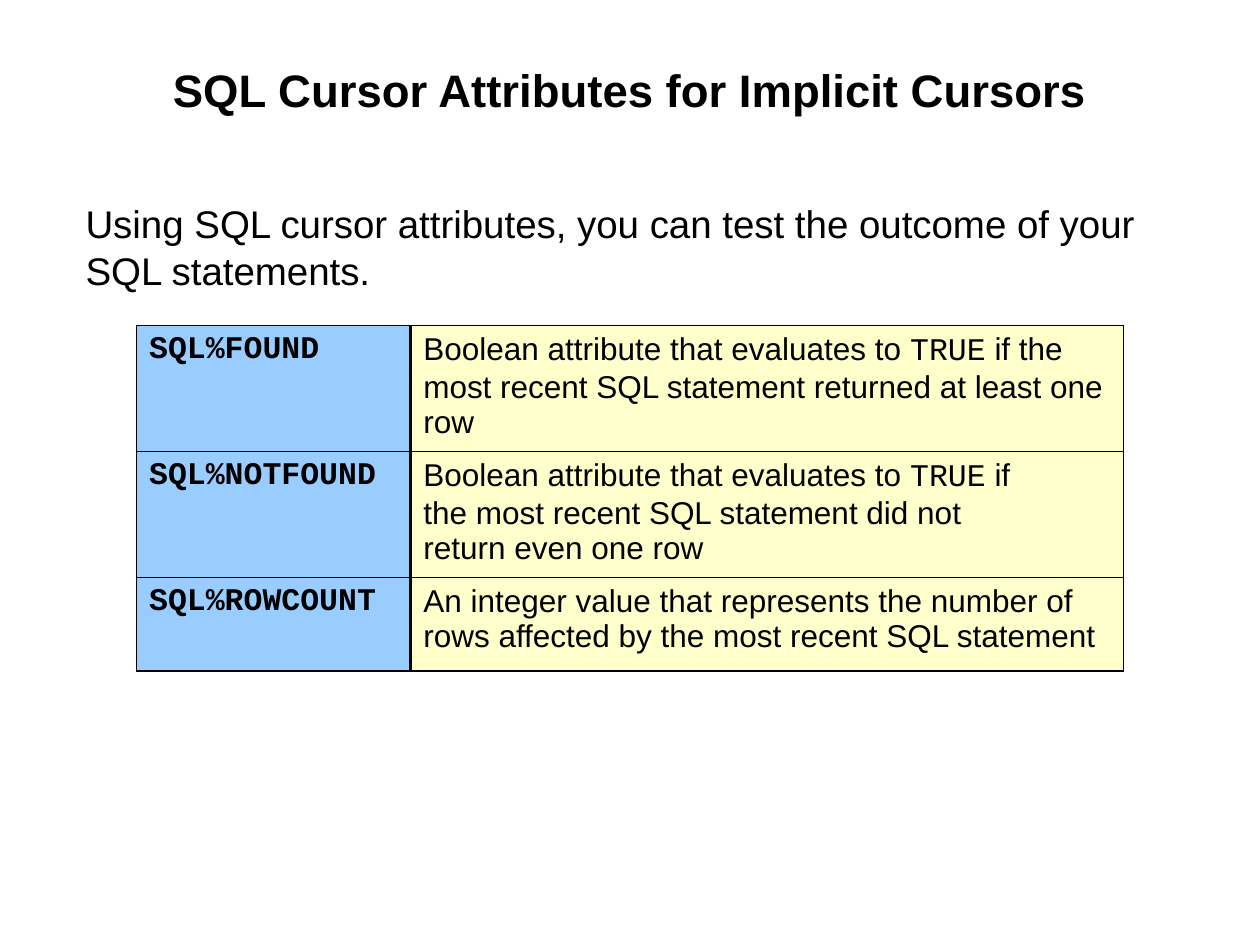
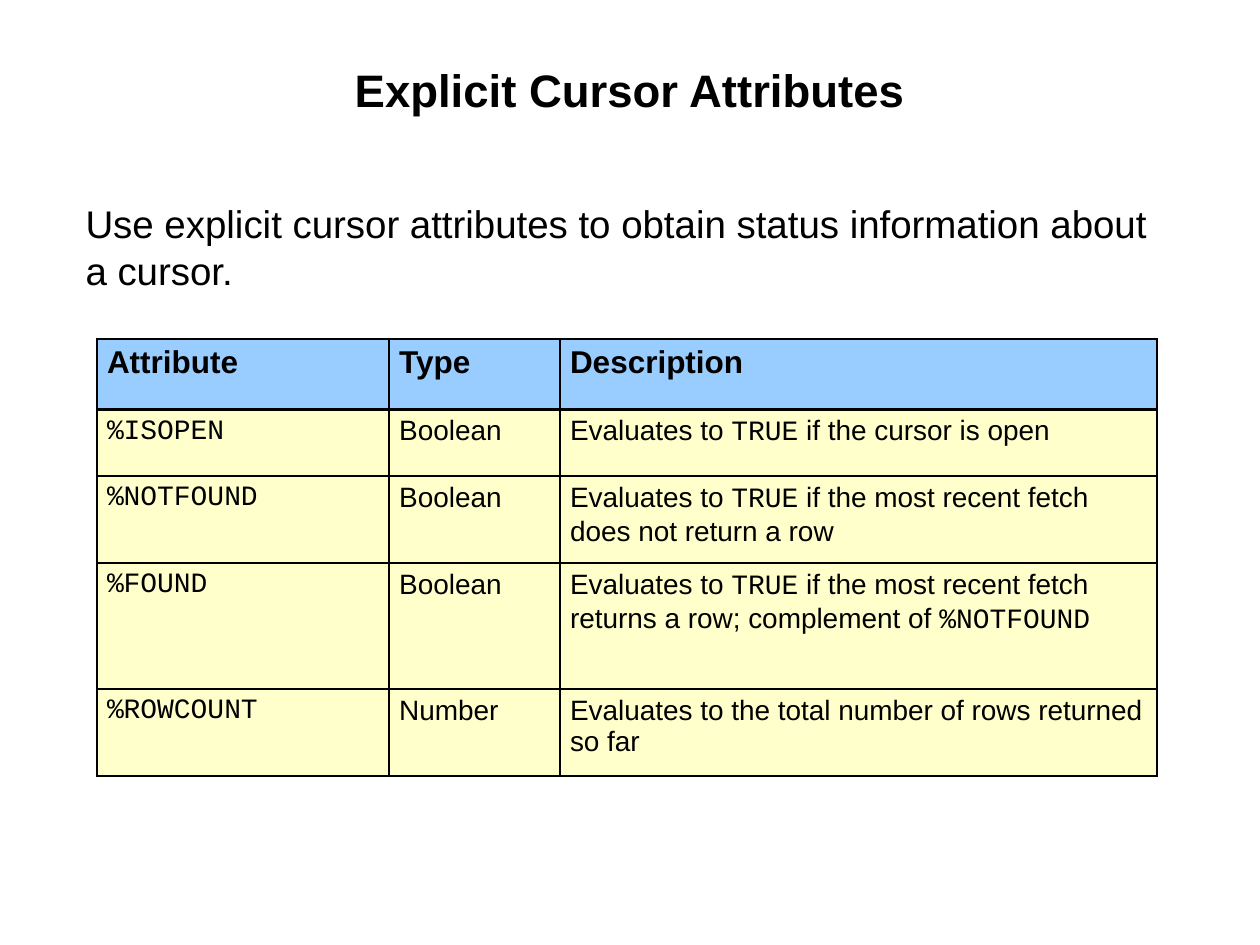
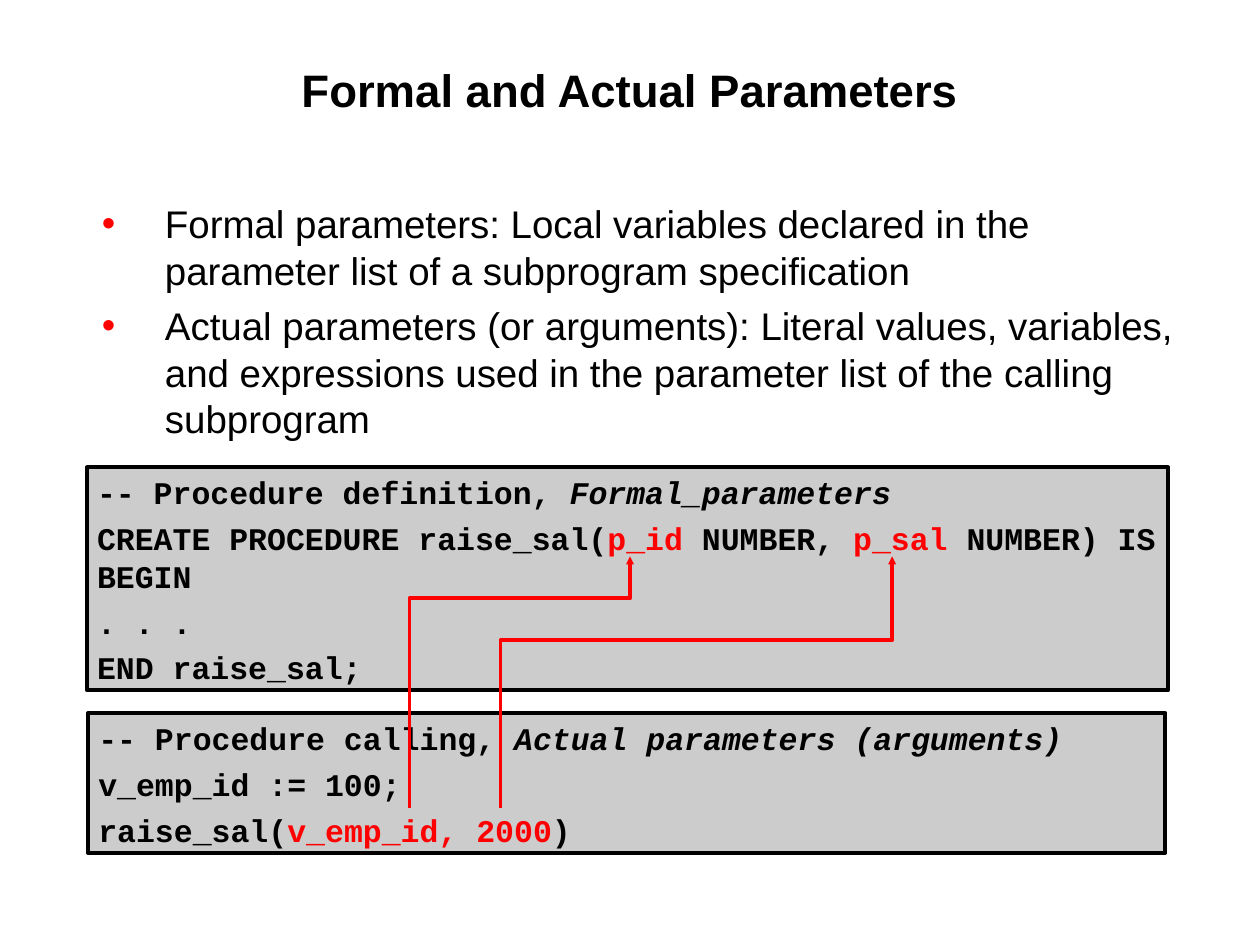
from lxml import etree
from pptx import Presentation
from pptx.dml.color import RGBColor
from pptx.enum import shapes, text
from pptx.oxml.ns import qn
from pptx.util import Pt

HUES = {"ink": "000000", "red": "FF0000", "blue": "99CCFF",
        "cream": "FFFFCC", "grey": "CCCCCC"}
SANS, MONO = "Arial", "Courier New"
LEFT, WIDE = 48.2, 623.5
THIN, THICK = 1.08, 2.21


def hue(name):
    return RGBColor.from_string(HUES[name])


def add(root, tag, **attrs):
    return etree.SubElement(root, qn(tag), attrs)


def style(font, face=None, size=None, bold=None, ital=None, tint=None):
    if face:
        font.name = face
    if size:
        font.size = Pt(size)
    if bold is not None:
        font.bold = bold
    if ital:
        font.italic = True
    if tint:
        font.color.rgb = hue(tint)


def write(para, line, base, mark=None):
    style(para.font, tint="ink", **base)
    for i, part in enumerate(line.split("|")):
        for j, piece in enumerate(part.split("\n")):
            if j:
                para.add_line_break()
            if piece:
                run = para.add_run()
                run.text = piece
                if i % 2:
                    style(run.font, **mark)


def paras(frame, count, gap):
    for i in range(count):
        para = frame.add_paragraph() if i else frame.paragraphs[0]
        if i:
            para.space_before = Pt(gap)
        yield para


def frame_of(shape, side, top):
    frame = shape.text_frame
    frame.word_wrap = True
    frame.vertical_anchor = text.MSO_ANCHOR.TOP
    frame.margin_left = frame.margin_right = Pt(side)
    frame.margin_top = frame.margin_bottom = Pt(top)
    return frame


def place(slide, box):
    shape = slide.shapes.add_textbox(*map(Pt, box))
    return frame_of(shape, 0.72, 0.72)


def title(slide, line):
    frame = place(slide, (LEFT, 34.6, WIDE, 69.1))
    para = frame.paragraphs[0]
    para.alignment = text.PP_ALIGN.CENTER
    write(para, line, dict(face=SANS, size=26, bold=True))


def body(slide, lines, high, dots=False):
    frame = place(slide, (LEFT, 113.8, WIDE, high))
    for para, line in zip(paras(frame, len(lines), 5.5), lines):
        if dots:
            props = para._p.get_or_add_pPr()
            props.set("marL", str(Pt(45.4)))
            props.set("indent", str(Pt(-36)))
            add(add(props, "a:buClr"), "a:srgbClr", val=HUES["red"])
            add(props, "a:buFont", typeface=SANS)
            add(props, "a:buChar", char="•")
        write(para, line, dict(face=SANS, size=22))


def edge(cell, heavy):
    props = cell._tc.get_or_add_tcPr()
    for tag in ("a:lnL", "a:lnR", "a:lnT", "a:lnB"):
        width = THICK if tag == heavy else THIN
        line = add(props, tag, w=str(Pt(width)))
        add(add(line, "a:solidFill"), "a:srgbClr", val=HUES["ink"])


def grid(slide, spot, cols, rows, cells, top_head, size, side):
    shape = slide.shapes.add_table(len(rows), len(cols), *map(Pt, spot),
                                   Pt(sum(cols)), Pt(sum(rows)))
    table = shape.table
    table.first_row = table.horz_banding = False
    for col, width in zip(table.columns, cols):
        col.width = Pt(width)
    for row, high in zip(table.rows, rows):
        row.height = Pt(high)
    sides = ("a:lnB", "a:lnT") if top_head else ("a:lnR", "a:lnL")
    for r, line in enumerate(cells):
        for c, words in enumerate(line):
            cell = table.cell(r, c)
            rank = r if top_head else c
            head = rank == 0
            edge(cell, sides[rank] if rank < 2 else None)
            cell.fill.solid()
            cell.fill.fore_color.rgb = hue("blue" if head else "cream")
            cell.margin_left = cell.margin_right = Pt(side)
            code = c == 0 and not (top_head and head)
            base = dict(face=MONO if code else SANS,
                        size=18 if head else size, bold=head)
            write(cell.text_frame.paragraphs[0], words, base, dict(face=MONO))


def code(slide, box, lines):
    shape = slide.shapes.add_shape(shapes.MSO_SHAPE.RECTANGLE, *map(Pt, box))
    shape.shadow.inherit = False
    shape.fill.solid()
    shape.fill.fore_color.rgb = hue("grey")
    shape.line.color.rgb = hue("ink")
    shape.line.width = Pt(2.25)
    frame = frame_of(shape, 5.76, 3.5)
    for i, para in enumerate(paras(frame, len(lines), 4.5)):
        para.alignment = text.PP_ALIGN.LEFT
        mark = dict(tint="red") if i else dict(ital=True)
        write(para, lines[i], dict(face=MONO, size=18, bold=True), mark)


def arrow(slide, start, turn, end):
    (x, y), (far, top) = start, end
    pen = slide.shapes.build_freeform(Pt(x), Pt(y))
    points = [(x, turn), (far, turn), (far, top)]
    pen.add_line_segments([(Pt(a), Pt(b)) for a, b in points], close=False)
    shape = pen.convert_to_shape()
    shape.shadow.inherit = False
    shape.fill.background()
    shape.line.color.rgb = hue("red")
    shape.line.width = Pt(2.25)
    add(shape._element.spPr.find(qn("a:ln")), "a:tailEnd",
        type="triangle", w="sm", len="sm")


def implicit(slide):
    title(slide, "SQL Cursor Attributes for Implicit Cursors")
    body(slide, ["Using SQL cursor attributes, you can test the outcome "
                 "of your SQL statements."], 54.7)
    cells = [
        ("SQL%FOUND", "Boolean attribute that evaluates to |TRUE| if the "
         "most recent SQL statement returned at least one row"),
        ("SQL%NOTFOUND", "Boolean attribute that evaluates to |TRUE| if\n"
         "the most recent SQL statement did not\nreturn even one row"),
        ("SQL%ROWCOUNT", "An integer value that represents the number of "
         "rows affected by the most recent SQL statement")]
    grid(slide, (78, 186), (156.7, 407.2), (72, 72, 53.3), cells,
         False, 18, 7.2)


def explicit(slide):
    title(slide, "Explicit Cursor Attributes")
    body(slide, ["Use explicit cursor attributes to obtain status "
                 "information about a cursor."], 54.7)
    cells = [
        ("Attribute", "Type", "Description"),
        ("%ISOPEN", "Boolean", "Evaluates to |TRUE| if the cursor is open"),
        ("%NOTFOUND", "Boolean", "Evaluates to |TRUE| if the most recent "
         "fetch does not return a row"),
        ("%FOUND", "Boolean", "Evaluates to |TRUE| if the most recent fetch "
         "returns a row; complement of |%NOTFOUND"),
        ("%ROWCOUNT", "Number", "Evaluates to the total number of rows "
         "returned so far")]
    grid(slide, (55.4, 193.7), (167, 97.6, 341.3), (40.3, 38, 49.8, 72.1, 49.8),
         cells, True, 16, 5.76)


def params(slide):
    title(slide, "Formal and Actual Parameters")
    body(slide, ["Formal parameters: Local variables declared in the "
                 "parameter list of a subprogram specification",
                 "Actual parameters (or arguments): Literal values, "
                 "variables, and expressions used in the parameter list of "
                 "the calling subprogram"], 139.7, dots=True)
    code(slide, (49.7, 267.1, 617.8, 127.4),
         ["-- Procedure definition, |Formal_parameters",
          "CREATE PROCEDURE raise_sal(|p_id |NUMBER, |p_sal |NUMBER) IS\n"
          "BEGIN", ". . .", "END raise_sal;"])
    code(slide, (50.4, 407.5, 615.6, 79.9),
         ["-- Procedure calling, |Actual parameters (arguments)",
          "v_emp_id := 100;", "raise_sal(|v_emp_id, 2000|)"])
    for x, turn, far in ((234, 342, 360), (286, 366, 509.8)):
        arrow(slide, (x, 462), turn, (far, 318))


def main():
    deck = Presentation()
    deck.slide_width, deck.slide_height = Pt(720), Pt(540)
    for build in (implicit, explicit, params):
        build(deck.slides.add_slide(deck.slide_layouts[6]))
    deck.save("out.pptx")


if __name__ == "__main__":
    main()
